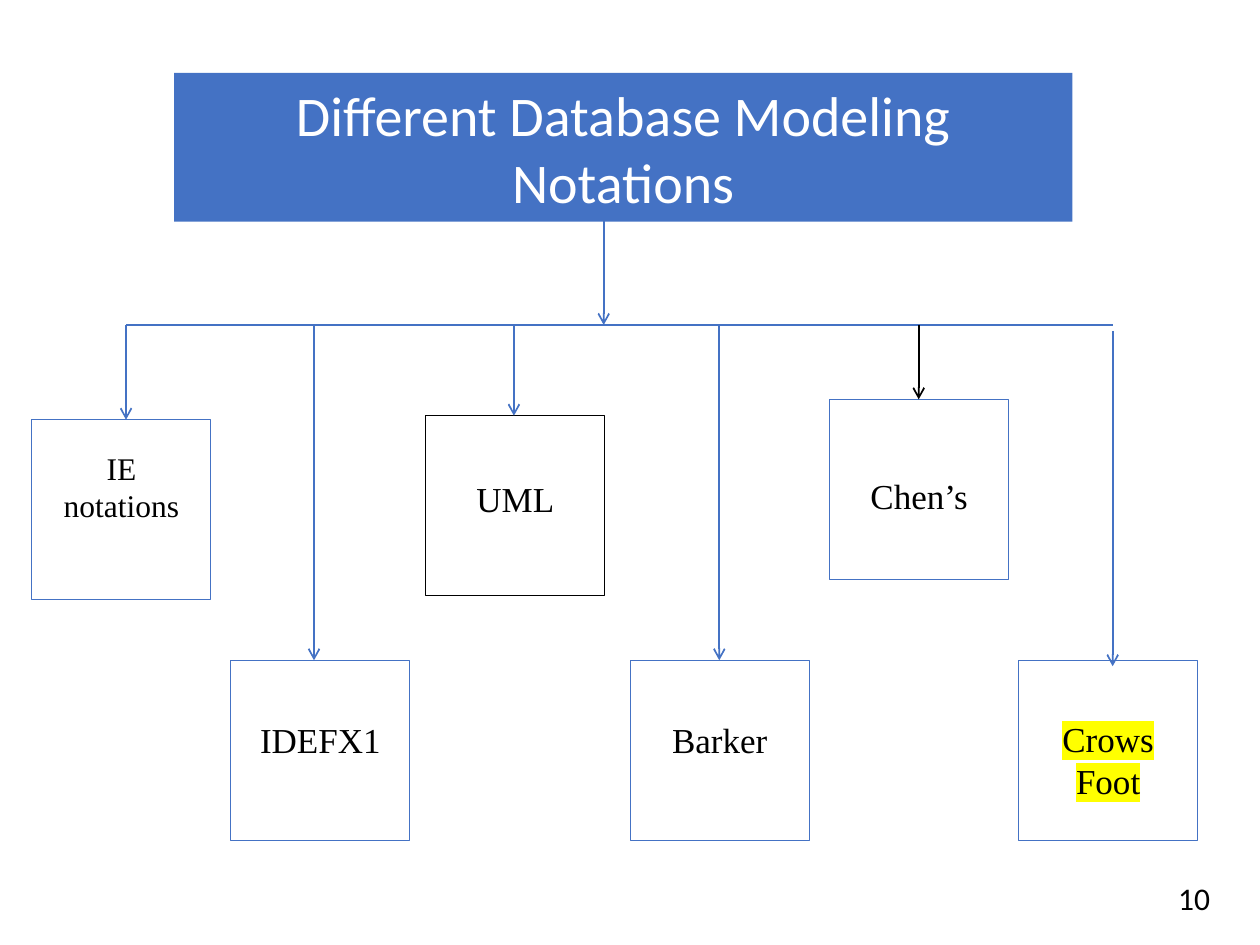
from lxml.etree import SubElement
from pptx import Presentation
from pptx.dml.color import RGBColor
from pptx.enum.shapes import MSO_CONNECTOR as CONN, MSO_SHAPE as SHAPE
from pptx.enum.text import MSO_ANCHOR as ANCHOR, PP_ALIGN as ALIGN
from pptx.oxml.ns import qn
from pptx.util import Cm, Pt

BLUE, BLACK, WHITE, YELLOW = "4472C4", "000000", "FFFFFF", "FFFF00"
SERIF, SANS = "Times New Roman", "Calibri"


def rgb(code):
    return RGBColor.from_string(code)


def write(sp, text, size=20, font=SERIF, color=BLACK, align=ALIGN.CENTER,
          anchor=ANCHOR.TOP, highlight=None):
    tf = sp.text_frame
    tf.word_wrap = True
    tf.vertical_anchor = anchor
    p = tf.paragraphs[0]
    p.alignment = align
    r = p.add_run()
    r.text = text
    r.font.size = Pt(size)
    r.font.color.rgb = rgb(color)
    if highlight:
        mark = SubElement(r.font._element, qn("a:highlight"))
        SubElement(mark, qn("a:srgbClr"), val=highlight)
    r.font.name = font


class Diagram:
    """Draws boxes, labels and lines on one slide in a shared style."""

    def __init__(self, s, line_width=1, border_width=0.5):
        self.s = s
        self.line_width = line_width
        self.border_width = border_width

    def box(self, x, y, w, h, fill=WHITE, border=None):
        sp = self.s.shapes.add_shape(SHAPE.RECTANGLE, Cm(x), Cm(y), Cm(w), Cm(h))
        sp.shadow.inherit = False
        sp.fill.solid()
        sp.fill.fore_color.rgb = rgb(fill)
        if border:
            sp.line.color.rgb = rgb(border)
            sp.line.width = Pt(self.border_width)
        else:
            sp.line.fill.background()
        return sp

    def label(self, x, y, w, h, text, **fmt):
        sp = self.s.shapes.add_textbox(Cm(x), Cm(y), Cm(w), Cm(h))
        write(sp, text, **fmt)

    def line(self, x1, y1, x2, y2, color=BLUE, arrow=True):
        sp = self.s.shapes.add_connector(CONN.STRAIGHT, Cm(x1), Cm(y1), Cm(x2), Cm(y2))
        sp.line.color.rgb = rgb(color)
        sp.line.width = Pt(self.line_width)
        if arrow:
            SubElement(sp.line._get_or_add_ln(), qn("a:tailEnd"), type="arrow")
        SubElement(sp._element.spPr, qn("a:effectLst"))


def main():
    prs = Presentation()
    prs.slide_width, prs.slide_height = Cm(25.4), Cm(19.05)
    d = Diagram(prs.slides.add_slide(prs.slide_layouts[6]))

    title = d.box(3.51, 1.47, 18.11, 3, fill=BLUE)
    write(title, "Different Database Modeling Notations", size=32, font=SANS,
          color=WHITE, anchor=ANCHOR.MIDDLE)

    trunk_x, bus_y, low_y = 12.17, 6.55, 13.31
    d.line(trunk_x, 4.45, trunk_x, bus_y)
    for end_x in (2.54, 22.43):
        d.line(trunk_x, bus_y, end_x, bus_y, arrow=False)

    notations = [
        ("IE notations", 0.64, 8.46, 2.54, 8.92, 2.57, {"size": 18}, BLUE, BLUE, 0),
        ("IDEFX1", 4.65, low_y, 6.33, 14.35, 1.12, {}, BLUE, BLUE, 0),
        ("UML", 8.58, 8.38, 10.36, 9.5, 1.12, {}, BLACK, BLUE, 0),
        ("Barker", 12.7, low_y, 14.5, 14.35, 1.12, {}, BLUE, BLUE, 0),
        ("Chen’s", 16.72, 8.05, 18.52, 9.45, 1.12, {}, BLUE, BLACK, 0),
        ("Crows Foot", 20.53, low_y, 22.43, 14.33, 1.96, {"highlight": YELLOW},
         BLUE, BLUE, 0.12),
    ]
    for text, x, y, arrow_x, text_y, text_h, fmt, border, color, drop in notations:
        d.box(x, y, 3.61, 3.63, border=border)
        d.label(x + 0.22, text_y, 3.18, text_h, text, **fmt)
        d.line(arrow_x, bus_y + drop, arrow_x, y + drop, color=color)

    d.label(23.5, 17.6, 1.27, 1.02, "10", size=18, font=SANS, align=ALIGN.LEFT)
    prs.save("out.pptx")


if __name__ == "__main__":
    main()
